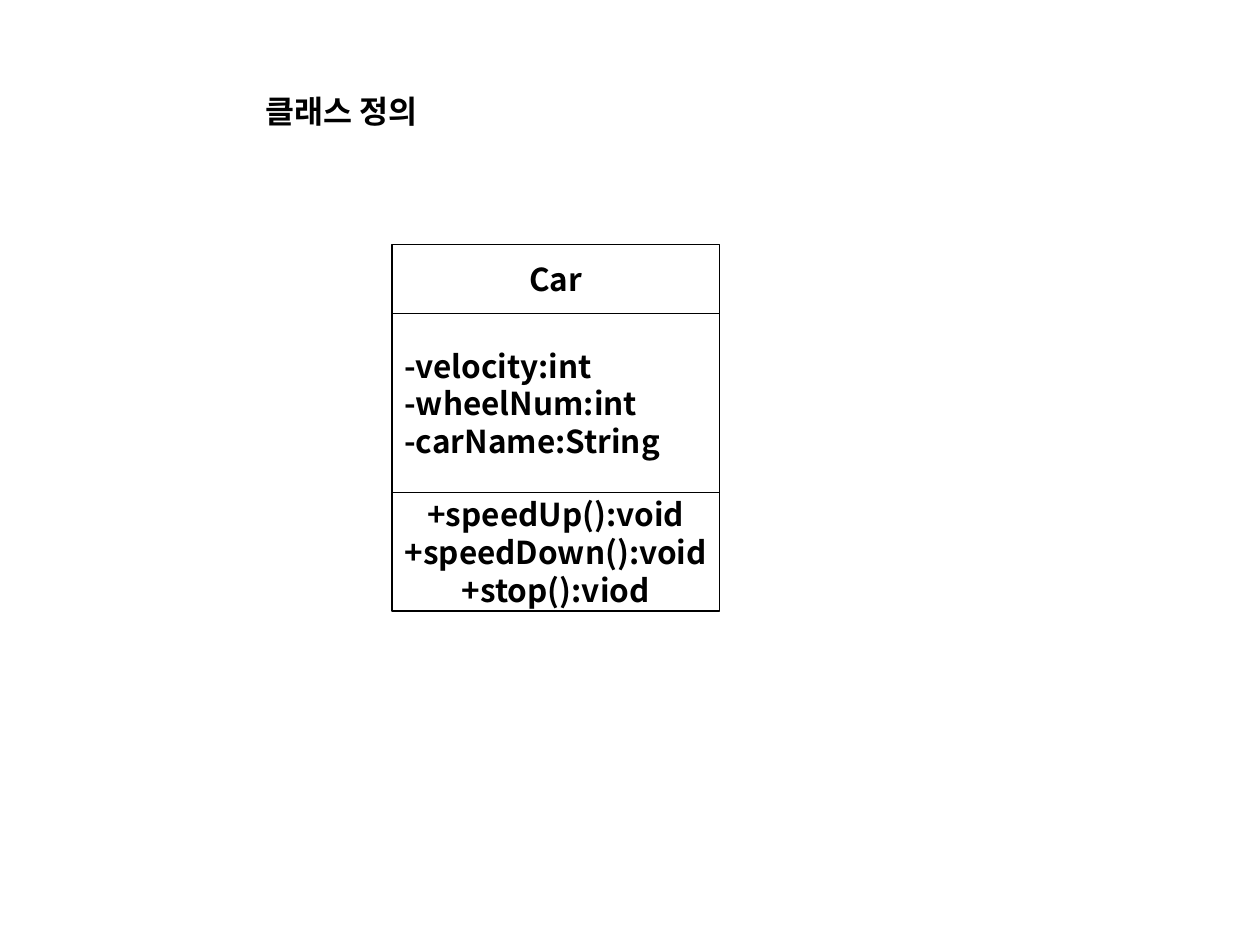
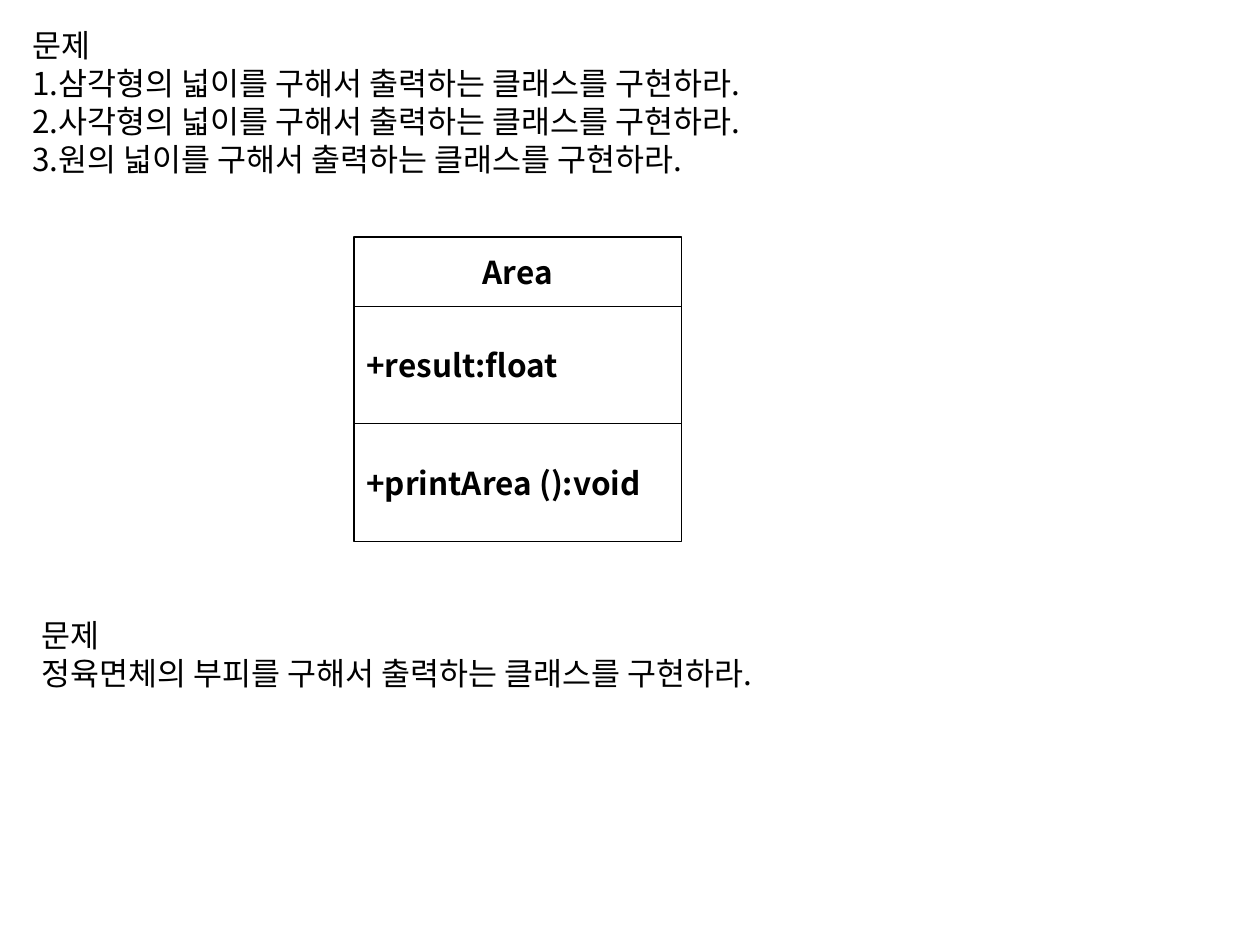
"""Build two slides on defining classes, with class diagrams and exercises."""
from dataclasses import dataclass

import lxml.etree
import pptx
import pptx.dml.color
import pptx.enum.shapes
import pptx.enum.text
import pptx.oxml.ns
import pptx.slide
import pptx.text.text
import pptx.util

Pt = pptx.util.Pt
ALIGN = pptx.enum.text.PP_ALIGN
ANCHOR = pptx.enum.text.MSO_ANCHOR


@dataclass(frozen=True)
class Theme:
    ink: pptx.dml.color.RGBColor = pptx.dml.color.RGBColor(0, 0, 0)
    font: str = "Noto Sans CJK KR"
    size: float = 18
    line_pitch: float = 21.6
    border: float = 0.75
    inset_x: float = 7.2
    inset_y: float = 3.6
    class_width: float = 187.2


@dataclass(frozen=True)
class Passage:
    left: float
    top: float
    width: float
    lines: tuple[str, ...]
    bold: bool = False


@dataclass(frozen=True)
class Compartment:
    height: float
    lines: tuple[str, ...]
    centred: bool = False


@dataclass(frozen=True)
class ClassDiagram:
    left: float
    top: float
    compartments: tuple[Compartment, ...]


THEME = Theme()

DEFINITION = Passage(144.7, 49, 278, ("클래스 정의",), bold=True)
CAR = ClassDiagram(224, 139.7, (
    Compartment(39.6, ("Car",), centred=True),
    Compartment(102.2, ("-velocity:int", "-wheelNum:int", "-carName:String")),
    Compartment(67.7, ("+speedUp():void", "+speedDown():void", "+stop():viod"), centred=True),
))
AREA_EXERCISES = Passage(11.5, 11.5, 692, (
    "문제",
    "1.삼각형의 넓이를 구해서 출력하는 클래스를 구현하라.",
    "2.사각형의 넓이를 구해서 출력하는 클래스를 구현하라.",
    "3.원의 넓이를 구해서 출력하는 클래스를 구현하라.",
))
AREA = ClassDiagram(202.3, 135.4, (
    Compartment(39.6, ("Area",), centred=True),
    Compartment(67, ("+result:float",)),
    Compartment(67.7, ("+printArea ():void",)),
))
VOLUME_EXERCISE = Passage(16.6, 348.5, 652.3, (
    "문제",
    "정육면체의 부피를 구해서 출력하는 클래스를 구현하라.",
))


def write_lines(frame: pptx.text.text.TextFrame, lines: tuple[str, ...], bold: bool,
                alignment: ALIGN = ALIGN.LEFT) -> None:
    """Fill a text frame with one paragraph per line in the theme's type."""
    frame.text = "\n".join(lines)
    frame.margin_left = frame.margin_right = Pt(THEME.inset_x)
    for paragraph in frame.paragraphs:
        paragraph.alignment = alignment
        paragraph.line_spacing = Pt(THEME.line_pitch)
        for run in paragraph.runs:
            run.font.size = Pt(THEME.size)
            run.font.bold = bold
            run.font.color.rgb = THEME.ink
            run.font.name = THEME.font
            east_asian = lxml.etree.SubElement(run.font._element, pptx.oxml.ns.qn("a:ea"))
            east_asian.set("typeface", THEME.font)


def draw_passage(slide: pptx.slide.Slide, passage: Passage) -> None:
    """Place a wrapped passage whose height follows its line count."""
    height = len(passage.lines) * THEME.line_pitch + 2 * THEME.inset_y
    box = slide.shapes.add_textbox(
        Pt(passage.left), Pt(passage.top), Pt(passage.width), Pt(height))
    frame = box.text_frame
    frame.word_wrap = True
    frame.margin_top = frame.margin_bottom = Pt(THEME.inset_y)
    write_lines(frame, passage.lines, passage.bold)


def draw_class(slide: pptx.slide.Slide, diagram: ClassDiagram) -> None:
    """Stack the compartments of a class from top to bottom."""
    top = diagram.top
    for compartment in diagram.compartments:
        box = slide.shapes.add_shape(
            pptx.enum.shapes.MSO_SHAPE.RECTANGLE, Pt(diagram.left), Pt(top),
            Pt(THEME.class_width), Pt(compartment.height))
        box.shadow.inherit = False
        box.fill.background()
        box.line.color.rgb = THEME.ink
        box.line.width = Pt(THEME.border)
        frame = box.text_frame
        frame.word_wrap = not compartment.centred
        frame.vertical_anchor = ANCHOR.MIDDLE
        frame.margin_top = frame.margin_bottom = Pt(0)
        alignment = ALIGN.CENTER if compartment.centred else ALIGN.LEFT
        write_lines(frame, compartment.lines, True, alignment)
        top += compartment.height


def main() -> None:
    """Assemble and save the presentation."""
    deck = pptx.Presentation()
    deck.slide_width, deck.slide_height = Pt(720), Pt(540)
    blank = deck.slide_layouts[6]

    car_slide = deck.slides.add_slide(blank)
    draw_passage(car_slide, DEFINITION)
    draw_class(car_slide, CAR)

    exercise_slide = deck.slides.add_slide(blank)
    draw_passage(exercise_slide, AREA_EXERCISES)
    draw_class(exercise_slide, AREA)
    draw_passage(exercise_slide, VOLUME_EXERCISE)

    deck.save("out.pptx")


if __name__ == "__main__":
    main()
